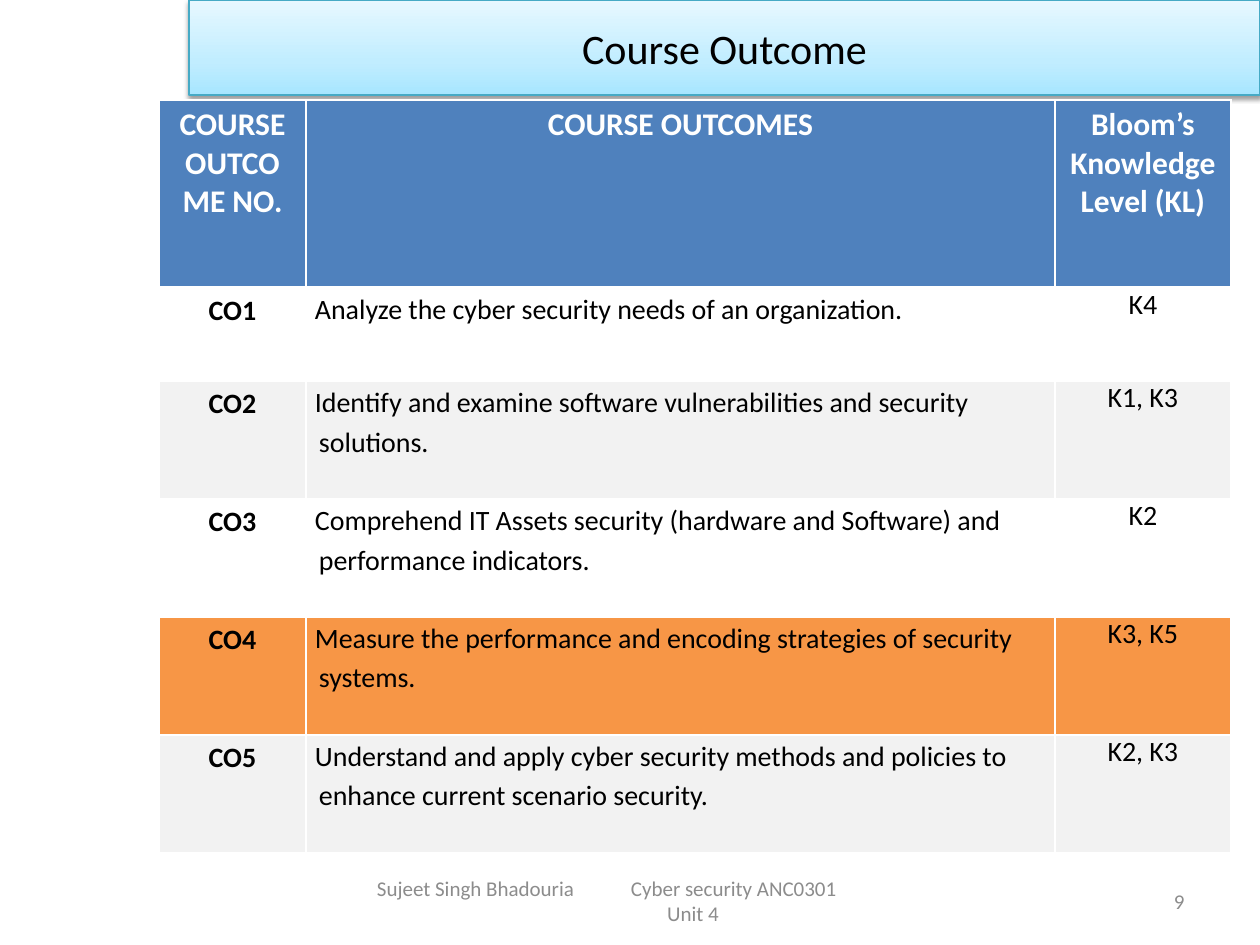
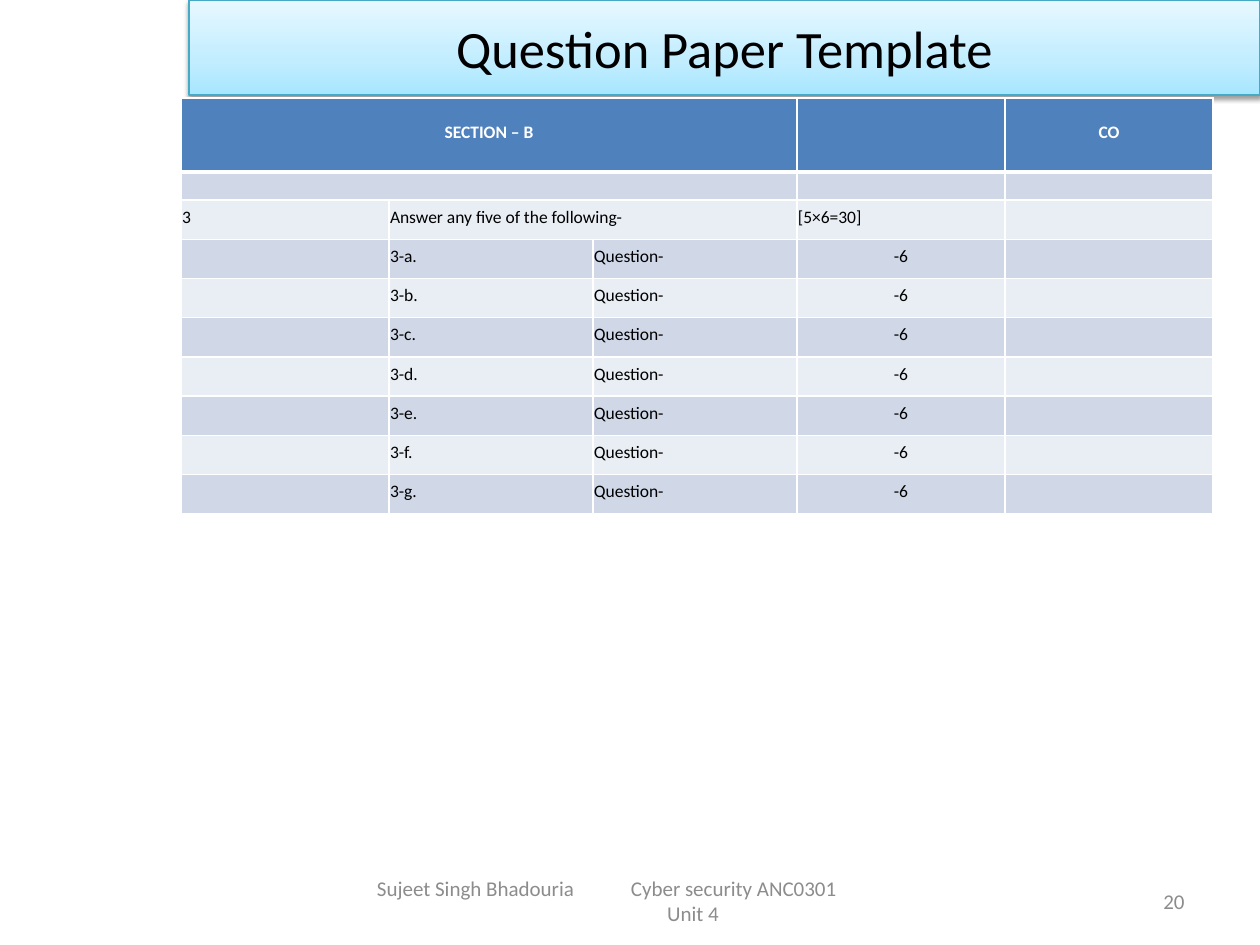
from copy import deepcopy

from lxml.etree import SubElement
from pptx import Presentation
from pptx.dml.color import RGBColor
from pptx.enum.shapes import MSO_SHAPE as Shape
from pptx.enum.text import MSO_ANCHOR as Anchor, PP_ALIGN as Align
from pptx.oxml.ns import qn
from pptx.util import Emu, Pt

# Shared look
FONT = "Calibri"
BLACK = RGBColor(0x00, 0x00, 0x00)
WHITE = RGBColor(0xFF, 0xFF, 0xFF)
FOOTER_GRAY = RGBColor(0x8C, 0x8C, 0x8C)
HEADER_BLUE = RGBColor(0x4F, 0x81, 0xBD)
BAND_DARK = RGBColor(0xD0, 0xD8, 0xE8)
BAND_LIGHT = RGBColor(0xE9, 0xED, 0xF4)
ROW_GRAY = RGBColor(0xF2, 0xF2, 0xF2)
CURRENT_ORANGE = RGBColor(0xF7, 0x96, 0x46)
BANNER_LINE = RGBColor(0x46, 0xAA, 0xC5)
BANNER_STOPS = [
    (0, RGBColor(0xA7, 0xE6, 0xFF)),
    (0.35, RGBColor(0xC1, 0xED, 0xFF)),
    (1, RGBColor(0xE7, 0xF8, 0xFF)),
]

# Boxes: left, top, width, height in px
SLIDE_SIZE = (1260, 945)
BANNER_BOX = (189, 0, 1071, 95)
FOOTER_BOX = (346, 876, 694, 50)
NUMBER_BOX = (903, 876, 294, 50)
OUTCOME_BOX = (159, 100, 1072, 753)
PAPER_BOX = (181, 98, 1032, 416)

CELL_INSETS = (13, 6, 13, 6)
TIGHT_INSETS = (9, 0, 9, 0)
PAPER_INSETS = (1, 1, 1, 6)

OUTCOME_HEADINGS = ["COURSE OUTCOME NO.", "COURSE OUTCOMES", "Bloom’s Knowledge Level (KL)"]
OUTCOMES = [
    ("Analyze the cyber security needs of an organization.", "K4", WHITE),
    ("Identify and examine software vulnerabilities and security solutions.", "K1, K3", ROW_GRAY),
    ("Comprehend IT Assets security (hardware and Software) and performance indicators.",
     "K2", WHITE),
    ("Measure the performance and encoding strategies of security systems.",
     "K3, K5", CURRENT_ORANGE),
    ("Understand and apply cyber security methods and policies to enhance current scenario "
     "security.", "K2, K3", ROW_GRAY),
]


def px(length):
    return Emu(round(length * 914400 / 126))


def write(frame, text, size=12, color=BLACK, bold=False, align=Align.LEFT, spacing=None):
    """Fill a text frame, one paragraph per line of text."""
    frame.word_wrap = True
    frame.text = text
    for paragraph in frame.paragraphs:
        paragraph.alignment = align
        if spacing:
            paragraph.line_spacing = spacing
        for run in paragraph.runs:
            run.font.name = FONT
            run.font.size = Pt(size)
            run.font.bold = bold
            run.font.color.rgb = color
        if not paragraph.runs:
            SubElement(paragraph._p, qn("a:endParaRPr"), sz=str(size * 100))


def add_banner(slide, box, title, size):
    banner = slide.shapes.add_shape(Shape.RECTANGLE, *map(px, box))
    banner.line.color.rgb = BANNER_LINE
    banner.line.width = Pt(0.75)
    # Three-stop gradient, running upwards
    banner.fill.gradient()
    banner.fill.gradient_angle = 90
    properties = banner._element.spPr
    stop_list = properties.find(".//" + qn("a:gsLst"))
    stop_list.append(deepcopy(stop_list[0]))
    for stop, (position, color) in zip(banner.fill.gradient_stops, BANNER_STOPS):
        stop.position = position
        stop.color.rgb = color
    # Soft shadow below
    banner.shadow.inherit = False
    shadow = SubElement(properties.find(qn("a:effectLst")), qn("a:outerShdw"),
                        blurRad=str(Pt(3.1)), dist=str(Pt(1.6)), dir="5400000", rotWithShape="0")
    shadow_color = SubElement(shadow, qn("a:srgbClr"), val=str(BLACK))
    SubElement(shadow_color, qn("a:alpha"), val="38000")
    banner.text_frame.vertical_anchor = Anchor.MIDDLE
    write(banner.text_frame, title, size=size, align=Align.CENTER)


def add_footer_text(slide, box, text, align):
    frame = slide.shapes.add_textbox(*map(px, box)).text_frame
    frame.vertical_anchor = Anchor.MIDDLE
    write(frame, text, color=FOOTER_GRAY, align=align)
    return frame


def add_footer(slide, number):
    frame = add_footer_text(slide, FOOTER_BOX,
                            "Sujeet Singh Bhadouria\tCyber security ANC0301\nUnit 4", Align.CENTER)
    frame.margin_left = frame.margin_right = px(31)
    # The author and the course are set apart by a tab stop
    author_line = frame.paragraphs[0]
    author_line.alignment = Align.LEFT
    tabs = SubElement(author_line._p.get_or_add_pPr(), qn("a:tabLst"))
    SubElement(tabs, qn("a:tab"), pos=str(px(254)), algn="l")
    add_footer_text(slide, NUMBER_BOX, str(number), Align.RIGHT)


def add_grid(slide, box, columns, rows):
    table = slide.shapes.add_table(len(rows), len(columns), *map(px, box)).table
    table.horz_banding = False
    for column, width in zip(table.columns, columns):
        column.width = px(width)
    for row, height in zip(table.rows, rows):
        row.height = px(height)
    return table


def fill_cell(cell, text, fill, insets=CELL_INSETS, anchor=Anchor.TOP, bottom_line=1, **text_format):
    cell.margin_left, cell.margin_top, cell.margin_right, cell.margin_bottom = map(px, insets)
    cell.vertical_anchor = anchor
    write(cell.text_frame, text, **text_format)
    properties = cell._tc.get_or_add_tcPr()
    for side, width in zip("LRTB", (1, 1, 1, bottom_line)):
        line = SubElement(properties, qn("a:ln" + side), w=str(Pt(width)))
        SubElement(SubElement(line, qn("a:solidFill")), qn("a:srgbClr"), val=str(WHITE))
    cell.fill.solid()
    cell.fill.fore_color.rgb = fill


def add_outcome_table(slide, box):
    table = add_grid(slide, box, [147, 749, 176], [188, 93] + [118] * 4)
    for column, heading in enumerate(OUTCOME_HEADINGS):
        fill_cell(table.cell(0, column), heading, HEADER_BLUE, bottom_line=3,
                  size=18, color=WHITE, bold=True, align=Align.CENTER)
    for row, (outcome, level, fill) in enumerate(OUTCOMES, start=1):
        code_cell, outcome_cell, level_cell = table.rows[row].cells
        fill_cell(code_cell, f"CO{row}", fill, size=16, bold=True, align=Align.CENTER)
        fill_cell(outcome_cell, outcome, fill, TIGHT_INSETS, size=16, spacing=1.15)
        fill_cell(level_cell, level, fill, TIGHT_INSETS, size=16, align=Align.CENTER)
        # Small hanging indent
        indent = outcome_cell.text_frame.paragraphs[0]._p.get_or_add_pPr()
        indent.set("marL", str(px(4)))
        indent.set("indent", str(-px(4)))


def add_paper_table(slide, box):
    questions = [["", f"3-{letter}.", "Question-", "-6", ""] for letter in "abcdefg"]
    content = [
        ["SECTION – B", "", "", "", "CO"],
        [""] * 5,
        ["3", "Answer any five of the following-", "", "[5×6=30]", ""],
    ] + questions
    head_rows = [74, 28]
    body_count = len(content) - len(head_rows)
    body_height = (box[3] - sum(head_rows)) / body_count
    table = add_grid(slide, box, [208, 204, 204, 208, 208], head_rows + [body_height] * body_count)
    for row, first in ((0, 0), (1, 0), (2, 1)):
        table.cell(row, first).merge(table.cell(row, 2))

    for row, texts in enumerate(content):
        is_header = row == 0
        fill = HEADER_BLUE if is_header else BAND_DARK if row % 2 else BAND_LIGHT
        for column, text in enumerate(texts):
            cell = table.cell(row, column)
            if cell.is_spanned:
                continue
            centered = is_header or text == "-6"
            fill_cell(cell, text, fill, PAPER_INSETS, Anchor.MIDDLE,
                      bottom_line=3 if is_header else 1, size=10,
                      color=WHITE if is_header else BLACK, bold=is_header,
                      align=Align.CENTER if centered else Align.LEFT)


def add_course_slide(presentation, title, title_size, number, add_table, table_box):
    slide = presentation.slides.add_slide(presentation.slide_layouts[6])
    add_banner(slide, BANNER_BOX, title, title_size)
    add_table(slide, table_box)
    add_footer(slide, number)


def main():
    presentation = Presentation()
    presentation.slide_width, presentation.slide_height = map(px, SLIDE_SIZE)
    add_course_slide(presentation, "Course Outcome", 24, 9, add_outcome_table, OUTCOME_BOX)
    add_course_slide(presentation, "Question Paper Template", 30, 20, add_paper_table, PAPER_BOX)
    presentation.save("out.pptx")


if __name__ == "__main__":
    main()
